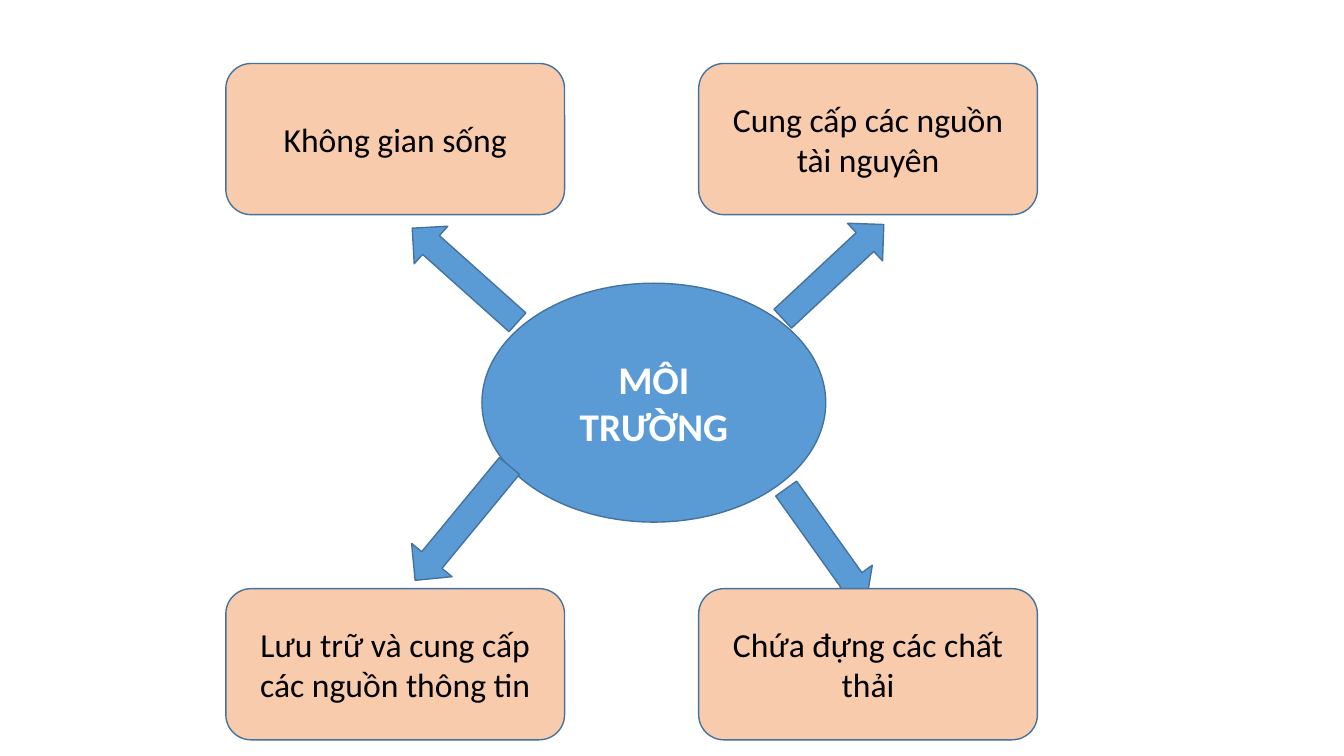
from pptx import Presentation
from pptx import util as u
from pptx.dml.color import RGBColor
from pptx.enum import shapes, text


def color(value):
    return RGBColor.from_string(value)


def add_block(kind, bounds, fill, label="", size=24, font_color="000000", bold=False):
    shape = slide.shapes.add_shape(kind, *[u.Inches(length) for length in bounds])
    shape.shadow.inherit = False
    shape.fill.solid()
    shape.fill.fore_color.rgb = color(fill)
    shape.line.color.rgb = color("43739E")
    shape.line.width = u.Pt(1)
    if label:
        frame = shape.text_frame
        frame.text = label
        frame.word_wrap = True
        frame.vertical_anchor = text.MSO_ANCHOR.MIDDLE
        paragraph = frame.paragraphs[0]
        paragraph.alignment = text.PP_ALIGN.CENTER
        font = paragraph.runs[0].font
        font.name = "Calibri"
        font.size = u.Pt(size)
        font.bold = bold
        font.color.rgb = color(font_color)
    return shape


BLUE = "5B9BD5"
PEACH = "F8CBAD"

presentation = Presentation()
presentation.slide_width = u.Inches(13.33)
presentation.slide_height = u.Inches(7.5)
slide = presentation.slides.add_slide(presentation.slide_layouts[6])

add_block(shapes.MSO_SHAPE.OVAL, (4.78, 2.81, 3.41, 2.37), BLUE,
          "MÔI TRƯỜNG", 28, "FFFFFF", True)

arrows = [
    ((7.58, 2.44, 1.37, 0.51), 317),
    ((3.91, 2.48, 1.4, 0.5), 221.8),
    ((3.85, 4.93, 1.47, 0.52), 129.5),
    ((7.51, 5.15, 1.37, 0.51), 54.5),
]
for bounds, rotation in arrows:
    arrow = add_block(shapes.MSO_SHAPE.RIGHT_ARROW, bounds, BLUE)
    arrow.rotation = rotation

functions = [
    ["Không gian sống", "Cung cấp các nguồn tài nguyên"],
    ["Lưu trữ và cung cấp các nguồn thông tin", "Chứa đựng các chất thải"],
]
for top, row in zip((0.63, 5.84), functions):
    for left, label in zip((2.24, 6.93), row):
        add_block(shapes.MSO_SHAPE.ROUNDED_RECTANGLE, (left, top, 3.36, 1.5), PEACH, label)

presentation.save("out.pptx")
